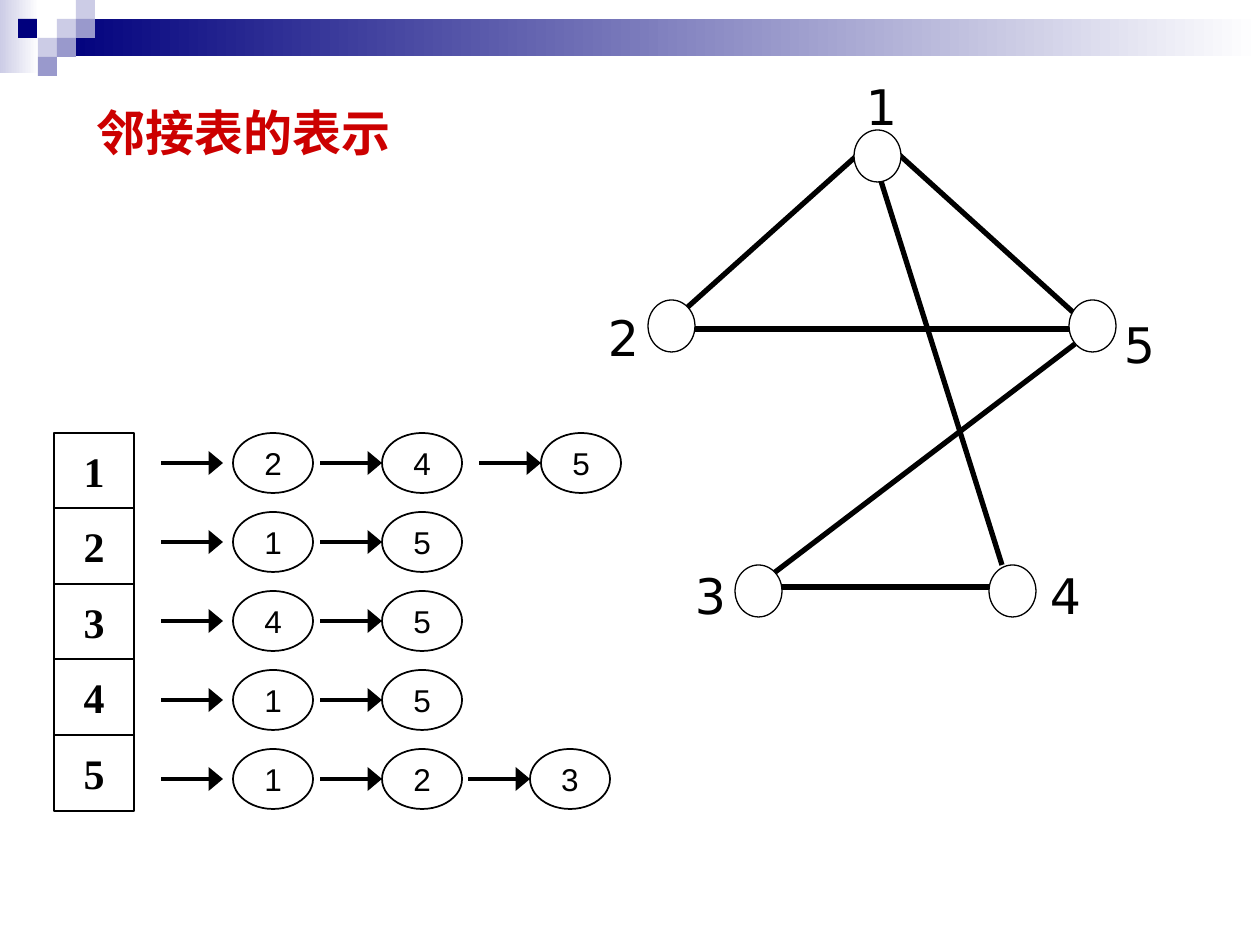
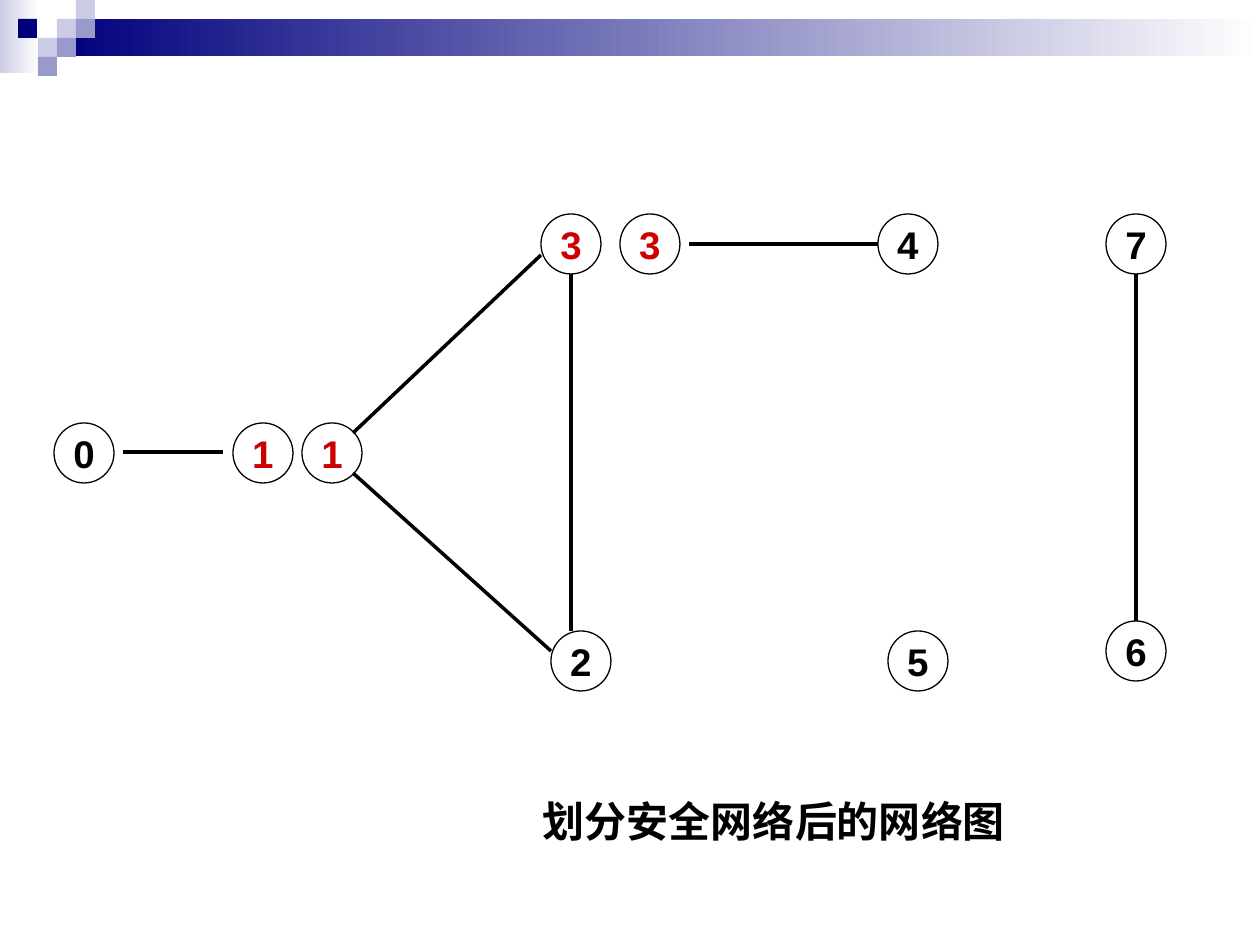
from lxml import etree
from pptx import Presentation
from pptx.dml.color import RGBColor
from pptx.enum.shapes import MSO_CONNECTOR, MSO_SHAPE
from pptx.enum.text import MSO_ANCHOR, PP_ALIGN
from pptx.oxml.ns import qn
from pptx.util import Pt

EMU_PER_PX = 914400 / 126
COLORS = {
    "navy": "00007D",
    "periwinkle": "9999CC",
    "lavender": "CCCCE6",
    "white": "FFFFFF",
    "black": "000000",
    "red": "CC0000",
}
LEFT, CENTER, RIGHT = PP_ALIGN.LEFT, PP_ALIGN.CENTER, PP_ALIGN.RIGHT
TILE = 19
TILES = [
    (57, 19, "lavender"), (76, 0, "lavender"), (76, 19, "periwinkle"),
    (38, 38, "lavender"), (18, 19, "navy"), (57, 38, "periwinkle"),
    (38, 57, "periwinkle"),
]

GRAPH_NODES = [(854, 130), (648, 300), (735, 565), (989, 565), (1069, 300)]
GRAPH_LABELS = [
    ("1", 858, 76, CENTER), ("2", 600, 307, RIGHT), ("3", 687, 565, RIGHT),
    ("4", 1042, 565, LEFT), ("5", 1116, 314, LEFT),
]
GRAPH_EDGES = [
    ((895, 151), (1075, 314)), ((694, 329), (1069, 329)),
    ((862, 151), (680, 314)), ((1075, 344), (774, 573)),
    ((995, 587), (781, 587)), ((881, 181), (1002, 565)),
]

LIST_TOP, LIST_HEIGHT, ROW_STEP = 433, 378, 79
ADJACENCY = [
    [("2", 233), ("4", 382), ("5", 541)],
    [("1", 233), ("5", 382)],
    [("4", 233), ("5", 382)],
    [("1", 233), ("5", 382)],
    [("1", 233), ("2", 382), ("3", 530)],
]

NETWORK_NODES = [
    ("0", 54, 423, "black"), ("1", 233, 423, "red"), ("1", 302, 423, "red"),
    ("2", 551, 631, "black"), ("3", 541, 214, "red"), ("3", 620, 214, "red"),
    ("4", 878, 214, "black"), ("5", 888, 631, "black"),
    ("6", 1106, 621, "black"), ("7", 1106, 214, "black"),
]
NETWORK_LINKS = [
    ((123, 452), (223, 452)), ((353, 433), (541, 255)),
    ((353, 473), (551, 651)), ((689, 244), (878, 244)),
    ((1136, 274), (1136, 621)), ((571, 274), (571, 631)),
]


def px(*lengths):
    return [round(length * EMU_PER_PX) for length in lengths]


def rgb(color):
    return RGBColor.from_string(COLORS[color])


def write(frame, text, size, font, color="black", bold=False, align=CENTER):
    frame.text = text
    paragraph = frame.paragraphs[0]
    paragraph.alignment = align
    style = paragraph.runs[0].font
    style.name, style.size, style.bold = font, Pt(size), bold
    style.color.rgb = rgb(color)


def add_outline(slide, preset, box, line=None, fill=None):
    """Add a preset shape; line is a width in points, fill a colour name."""
    outline = slide.shapes.add_shape(preset, *px(*box))
    outline.shadow.inherit = False
    if fill:
        outline.fill.solid()
        outline.fill.fore_color.rgb = rgb(fill)
    else:
        outline.fill.background()
    if line:
        outline.line.width = Pt(line)
        outline.line.color.rgb = rgb("black")
    else:
        outline.line.fill.background()
    return outline


def add_labelled(slide, preset, box, line, text, size, font, **style):
    frame = add_outline(slide, preset, box, line).text_frame
    frame.word_wrap = False
    frame.vertical_anchor = MSO_ANCHOR.MIDDLE
    write(frame, text, size, font, **style)


def add_fading_band(slide, box, color):
    band = add_outline(slide, MSO_SHAPE.RECTANGLE, box)
    band.fill.gradient()
    band.fill.gradient_angle = 0
    for stop, shade in zip(band.fill.gradient_stops, (color, "white")):
        stop.color.rgb = rgb(shade)


def add_text(slide, box, *words, insets=(13, 6), **style):
    frame = slide.shapes.add_textbox(*px(*box)).text_frame
    frame.word_wrap = True
    side, end = px(*insets)
    frame.margin_left = frame.margin_right = side
    frame.margin_top = frame.margin_bottom = end
    write(frame, *words, **style)


def add_line(slide, start, end, width, arrow=False):
    link = slide.shapes.add_connector(
        MSO_CONNECTOR.STRAIGHT, *px(*start, *end))
    link.line.width = Pt(width)
    link.line.color.rgb = rgb("black")
    properties = link._element.spPr
    if arrow:
        stroke = properties.find(qn("a:ln"))
        stroke.set("cap", "sq")
        etree.SubElement(stroke, qn("a:tailEnd"),
                         type="triangle", w="lg", len="med")
    etree.SubElement(properties, qn("a:effectLst"))


def add_decorated_slide(deck):
    slide = deck.slides.add_slide(deck.slide_layouts[6])
    add_fading_band(slide, (0, 0, 39, 73), "lavender")
    add_fading_band(slide, (57, 19, 1203, 37), "navy")
    for x, y, color in TILES:
        add_outline(slide, MSO_SHAPE.RECTANGLE, (x, y, TILE, TILE), fill=color)
    return slide


def add_graph(slide):
    for start, end in GRAPH_EDGES:
        add_line(slide, start, end, 3)
    for x, y in GRAPH_NODES:
        add_outline(slide, MSO_SHAPE.OVAL, (x, y, 47, 52), 0.75, "white")
    for label, x, y, align in GRAPH_LABELS:
        add_text(slide, (x, y, 40, 62), label, 28, "DejaVu Sans",
                 insets=(8, 1), align=align)


def add_adjacency_list(slide):
    count = len(ADJACENCY)
    cell_edges = [LIST_TOP + LIST_HEIGHT * i // count for i in range(count + 1)]
    for row, neighbours in enumerate(ADJACENCY):
        cell_top, cell_bottom = cell_edges[row:row + 2]
        add_labelled(slide, MSO_SHAPE.RECTANGLE,
                     (54, cell_top, 80, cell_bottom - cell_top), 1,
                     str(row + 1), 24, "Times New Roman", bold=True)
        top = LIST_TOP + ROW_STEP * row
        for position, (neighbour, left) in enumerate(neighbours):
            add_labelled(slide, MSO_SHAPE.OVAL, (left, top, 80, 60), 1,
                         neighbour, 18, "Arial")
            tip = left if position else left - 10
            add_line(slide, (tip - 60, top + 30), (tip, top + 30), 2.75,
                     arrow=True)


def add_network(slide):
    for label, x, y, color in NETWORK_NODES:
        add_labelled(slide, MSO_SHAPE.OVAL, (x, y, 60, 60), 0.75,
                     label, 22, "Arial", color=color, bold=True)
    for start, end in NETWORK_LINKS:
        add_line(slide, start, end, 2)


def main():
    deck = Presentation()
    deck.slide_width, deck.slide_height = px(1260, 945)

    adjacency = add_decorated_slide(deck)
    add_graph(adjacency)
    add_text(adjacency, (84, 96, 437, 72), "邻接表的表示", 28, "Arial",
             color="red", bold=True, align=LEFT)
    add_adjacency_list(adjacency)

    partition = add_decorated_slide(deck)
    add_network(partition)
    add_text(partition, (481, 790, 586, 63), "划分安全网络后的网络图",
             24, "Arial", bold=True)

    deck.save("out.pptx")


if __name__ == "__main__":
    main()
